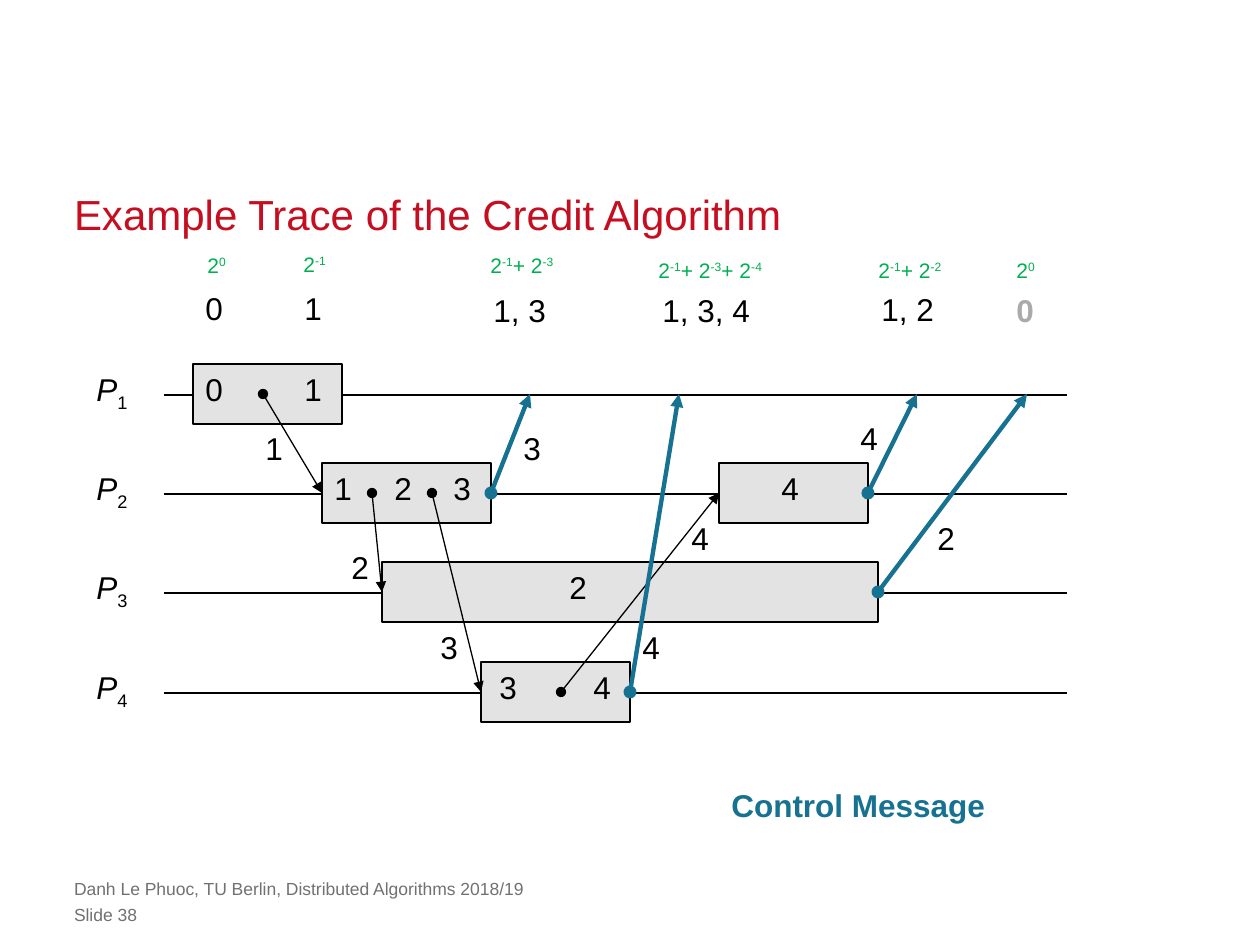
from dataclasses import dataclass
from typing import NamedTuple, Optional

from lxml import etree
from pptx import Presentation
from pptx import util as u
from pptx.dml.color import RGBColor
from pptx.enum import shapes, text
from pptx.oxml import ns

EMU_PER_PX = 914400 / 126
FIRST_ROW_TOP, ROW_PITCH = 364, 99.25
BAR_HEIGHT, LABEL_HEIGHT, DIGIT_WIDTH = 60, 50, 43
LIFELINE_LEFT, LIFELINE_RIGHT, LIFELINE_OFFSET = 164, 1067, 31
LEFT_SIDE, RIGHT_SIDE = 1, 3


@dataclass(frozen=True)
class Theme:
    font: str = "Arial"
    title: str = "C50E1F"
    ink: str = "000000"
    bar: str = "E3E3E3"
    control: str = "177191"
    credit: str = "00B050"
    faded: str = "AAAAAA"
    footer: str = "717171"
    title_size: int = 24
    label_size: int = 18
    credit_size: int = 12
    footer_size: int = 10


THEME = Theme()


class Piece(NamedTuple):
    text: str
    baseline: int = 0
    italic: bool = False


class Bar(NamedTuple):
    row: int
    left: int
    width: int


class Message(NamedTuple):
    """A message sent from inside a bar to the left side of another bar."""
    row: int
    x: int
    receiver: str


class Control(NamedTuple):
    """A control message from the right side of a bar to the first lifeline."""
    sender: str
    x: int


class Label(NamedTuple):
    text: str
    left: int
    top: int
    width: int = DIGIT_WIDTH
    color: str = THEME.ink
    bold: bool = False


class Credit(NamedTuple):
    exponents: tuple[int, ...]
    left: int
    top: int
    width: int


BARS = {
    "P1": Bar(0, 193, 149),
    "P2 early": Bar(1, 322, 169),
    "P3": Bar(2, 382, 496),
    "P4": Bar(3, 481, 149),
    "P2 late": Bar(1, 719, 149),
}
MESSAGES = [Message(0, 263, "P2 early"), Message(1, 372, "P3"),
            Message(1, 432, "P4"), Message(3, 561, "P2 late")]
CONTROLS = [Control("P2 early", 530), Control("P4", 679),
            Control("P2 late", 917), Control("P3", 1027)]
# Numbers inside the bars: text, left, row
STATES = [("0", 193, 0), ("1", 292, 0), ("1", 322, 1), ("2", 382, 1), ("3", 441, 1),
          ("4", 769, 1), ("2", 557, 2), ("3", 487, 3), ("4", 581, 3)]
LABELS = [
    Label("0", 193, 283), Label("1", 292, 283),
    Label("1, 3", 481, 285, 78), Label("1, 3, 4", 650, 285, 113),
    Label("1, 2", 869, 284, 78),
    Label("0", 1004, 285, color=THEME.faded, bold=True),
    Label("1", 253, 423), Label("3", 511, 423), Label("4", 848, 413),
    Label("4", 679, 513), Label("2", 925, 513), Label("2", 339, 542),
    Label("3", 428, 622), Label("4", 630, 622),
    Label("Control Message", 719, 780, 282, THEME.control, True),
]
CREDITS = [Credit((0,), 195, 246, 45), Credit((-1,), 291, 245, 49),
           Credit((-1, -3), 478, 246, 92), Credit((-1, -3, -4), 646, 251, 135),
           Credit((-1, -2), 866, 251, 92), Credit((0,), 1004, 251, 45)]
FOOTERS = [("Danh Le Phuoc, TU Berlin, Distributed Algorithms 2018/19", 878),
           ("Slide 38", 904)]


def px(length: float) -> int:
    return round(length * EMU_PER_PX)


def row_top(row: int) -> int:
    return FIRST_ROW_TOP + round(ROW_PITCH * row)


def row_middle(row: int) -> int:
    return row_top(row) + BAR_HEIGHT // 2


def add_runs(paragraph, pieces: list[Piece], size: int, color: str, bold: bool = False) -> None:
    for piece in pieces:
        run = paragraph.add_run()
        run.text = piece.text
        font = run.font
        font.name, font.size = THEME.font, u.Pt(size)
        font.bold, font.italic = bold, piece.italic
        font.color.rgb = RGBColor.from_string(color)
        if piece.baseline:
            run._r.get_or_add_rPr().set("baseline", str(piece.baseline * 1000))


def clear_margins(frame) -> None:
    frame.margin_left = frame.margin_top = frame.margin_right = frame.margin_bottom = 0


def add_label(slide, pieces: list[Piece], left: int, top: int, width: int, height: int,
              size: int = THEME.label_size, color: str = THEME.ink, bold: bool = False):
    frame = slide.shapes.add_textbox(px(left), px(top), px(width), px(height)).text_frame
    frame.word_wrap = False
    frame.auto_size = text.MSO_AUTO_SIZE.SHAPE_TO_FIT_TEXT
    add_runs(frame.paragraphs[0], pieces, size, color, bold)
    return frame


def add_line(slide, start: tuple[int, int], end: tuple[int, int],
             color: str, width: float, arrow: bool = False):
    """Draw a straight line; an arrow has a dot at its start and a tip at its end."""
    line = slide.shapes.add_connector(shapes.MSO_CONNECTOR.STRAIGHT, *map(px, start + end))
    line.line.color.rgb = RGBColor.from_string(color)
    line.line.width = u.Pt(width)
    if arrow:
        ln = line.line._get_or_add_ln()
        etree.SubElement(ln, ns.qn("a:headEnd"), type="oval")
        etree.SubElement(ln, ns.qn("a:tailEnd"), type="triangle")
    etree.SubElement(line._element.spPr, ns.qn("a:effectLst"))
    return line


def add_bar(slide, bar: Bar):
    rect = slide.shapes.add_shape(shapes.MSO_SHAPE.RECTANGLE, px(bar.left), px(row_top(bar.row)),
                                  px(bar.width), px(BAR_HEIGHT))
    rect.shadow.inherit = False
    rect.fill.solid()
    rect.fill.fore_color.rgb = RGBColor.from_string(THEME.bar)
    rect.line.color.rgb = RGBColor.from_string(THEME.ink)
    rect.line.width = u.Pt(0.75)
    return rect


def add_title(slide, wording: str) -> None:
    title = slide.shapes.title
    title.left, title.top, title.width, title.height = map(px, (74, 186, 1111, 53))
    frame = title.text_frame
    clear_margins(frame)
    frame.auto_size = text.MSO_AUTO_SIZE.NONE
    frame.vertical_anchor = text.MSO_ANCHOR.BOTTOM
    paragraph = frame.paragraphs[0]
    paragraph.alignment = text.PP_ALIGN.LEFT
    paragraph.line_spacing = u.Pt(30)
    add_runs(paragraph, [Piece(wording)], THEME.title_size, THEME.title)


def add_credit(slide, credit: Credit) -> None:
    pieces = []
    for exponent in credit.exponents:
        pieces += [Piece("+ 2" if pieces else "2"), Piece(str(exponent), 30)]
    add_label(slide, pieces, credit.left, credit.top, credit.width, 38,
              THEME.credit_size, THEME.credit)


def main() -> None:
    deck = Presentation()
    deck.slide_width, deck.slide_height = px(1260), px(945)
    slide = deck.slides.add_slide(deck.slide_layouts[5])
    add_title(slide, "Example Trace of the Credit Algorithm")

    for row in range(4):
        y = row_top(row) + LIFELINE_OFFSET
        add_line(slide, (LIFELINE_LEFT, y), (LIFELINE_RIGHT, y), THEME.ink, 1.5)
        add_label(slide, [Piece("P", italic=True), Piece(str(row + 1), -25)],
                  84, row_top(row), 58, LABEL_HEIGHT)
    rects = {name: add_bar(slide, bar) for name, bar in BARS.items()}

    for message in MESSAGES:
        bar = BARS[message.receiver]
        arrow = add_line(slide, (message.x, row_middle(message.row)),
                         (bar.left, row_middle(bar.row)), THEME.ink, 0.75, True)
        arrow.end_connect(rects[message.receiver], LEFT_SIDE)
    for control in CONTROLS:
        bar = BARS[control.sender]
        arrow = add_line(slide, (bar.left + bar.width, row_middle(bar.row)),
                         (control.x, row_middle(0)), THEME.control, 2.5, True)
        arrow.begin_connect(rects[control.sender], RIGHT_SIDE)

    states = [Label(number, left, row_top(row)) for number, left, row in STATES]
    for label in states + LABELS:
        add_label(slide, [Piece(label.text)], label.left, label.top, label.width,
                  LABEL_HEIGHT, color=label.color, bold=label.bold)
    for credit in CREDITS:
        add_credit(slide, credit)
    for wording, top in FOOTERS:
        frame = add_label(slide, [Piece(wording)], 74, top, 912, 21,
                          THEME.footer_size, THEME.footer)
        clear_margins(frame)
        frame.word_wrap = True
    deck.save("out.pptx")


if __name__ == "__main__":
    main()
